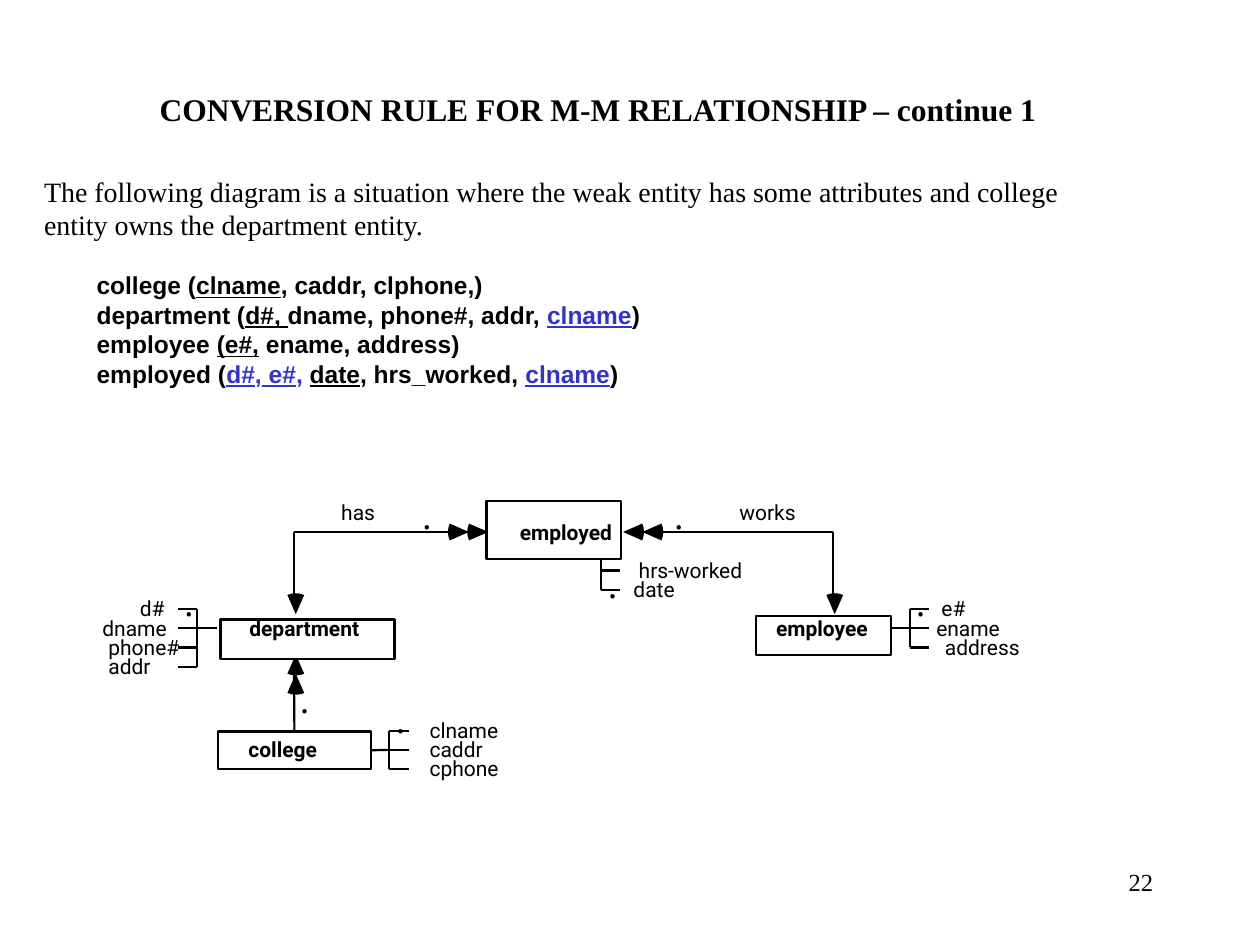
from dataclasses import dataclass

from lxml.etree import SubElement
from pptx import Presentation
from pptx.dml.color import RGBColor
from pptx.enum.shapes import MSO_CONNECTOR, MSO_SHAPE
from pptx.enum.text import MSO_ANCHOR, PP_ALIGN
from pptx.oxml.ns import qn
from pptx.util import Pt


@dataclass(frozen=True)
class Theme:
    ink: RGBColor = RGBColor(0, 0, 0)
    paper: RGBColor = RGBColor(255, 255, 255)
    key: RGBColor = RGBColor(0x33, 0x33, 0xCC)
    serif: str = "Times New Roman"
    sans: str = "Arial"
    diagram: str = "Roboto"
    title: int = 18
    body: int = 16
    relation: int = 14
    label: int = 12
    stroke: float = 1.25


theme = Theme()


def write(p, text, size=theme.label, font=theme.diagram, bold=False, color=theme.ink, underline=False):
    r = p.add_run()
    r.text = text
    r.font.size = Pt(size)
    r.font.name = font
    r.font.bold = bold
    r.font.underline = underline
    r.font.color.rgb = color


def line(x1, y1, x2, y2):
    c = s.shapes.add_connector(MSO_CONNECTOR.STRAIGHT, Pt(x1), Pt(y1), Pt(x2), Pt(y2))
    c.line.color.rgb = theme.ink
    c.line.width = Pt(theme.stroke)
    SubElement(c._element.spPr, qn("a:effectLst"))
    return c


prs = Presentation()
prs.slide_width, prs.slide_height = Pt(720), Pt(540)
s = prs.slides.add_slide(prs.slide_layouts[1])

title, body = s.placeholders
for sp, (x, y, w, h) in ((title, (84, 48, 528, 29)), (body, (18, 96, 618, 147))):
    sp.left, sp.top, sp.width, sp.height = Pt(x), Pt(y), Pt(w), Pt(h)
    sp.text_frame.vertical_anchor = MSO_ANCHOR.TOP
    sp.text_frame.word_wrap = True

p = title.text_frame.paragraphs[0]
p.alignment = PP_ALIGN.LEFT
write(p, "CONVERSION RULE FOR M-M RELATIONSHIP – continue 1", theme.title, theme.serif, bold=True)

tf = body.text_frame
p = tf.paragraphs[0]
write(p, "The following diagram is a situation where the weak entity has some attributes "
         "and college entity owns the department entity.", theme.body, theme.serif)

plain = {}
own = {"underline": True}
foreign = {"underline": True, "color": theme.key}
comma = {"color": theme.key}
relations = [
    [("college (", plain), ("clname", own), (", caddr, clphone,)", plain)],
    [("department (", plain), ("d#, ", own), ("dname, phone#, addr, ", plain),
     ("clname", foreign), (")", plain)],
    [("employee ", plain), ("(e#,", own), (" ename, address)", plain)],
    [("employed (", plain), ("d#", foreign), (",", comma), (" e#", foreign), (", ", comma),
     ("date", own), (", hrs_worked, ", plain), ("clname", foreign), (")", plain)],
]
for i, relation in enumerate(relations):
    p = tf.add_paragraph()
    p.space_before = Pt(0 if i else 16.5)
    for text, style in relation:
        write(p, text, theme.relation, theme.sans, bold=True, **style)
for i, p in enumerate(tf.paragraphs):
    pPr = p._p.get_or_add_pPr()
    pPr.set("marL", str(Pt(30 if i else 0)))
    pPr.set("indent", "0")
    SubElement(pPr, qn("a:buNone"))

left_x, right_x, link_y = 168, 476, 304
for route in (
    (left_x, link_y, 268, link_y),
    (222.5, link_y, 257, link_y),
    (left_x, link_y, left_x, 348),
    (right_x, link_y, 364, link_y),
    (375, link_y, 409.5, link_y),
    (right_x, link_y, right_x, 348),
):
    line(*route)

labels = [("has", 195, 285.7, False), ("works", 422.5, 285.7, False),
          ("college", 142, 421, True), ("department", 142.5, 351.5, True),
          ("employee", 443.5, 351.5, True), ("employed", 297, 296.7, True)]
labels += [("•", x, y, False) for x, y in (
    (227, 410.5), (172, 399), (524, 344), (348, 333.5), (106, 344), (242, 294), (386, 294))]

row, tick = 11, 11
attributes = [
    (222.5, 417.5, 417.5, tick, (("clname", 245.5), ("caddr", 245.5), ("cphone", 245.5))),
    (520, 348, 348, tick, (("e#", 538), ("ename", 535), ("address", 540))),
    (112.5, 348, 348, -tick, (("d#", 80), ("dname", 58.5), ("phone#", 62), ("addr", 62))),
    (343.5, 315.5, 326, tick, (("hrs-worked", 365), ("date", 362))),
]
for spine, top, first, reach, names in attributes:
    line(spine, top, spine, first + row * (len(names) - 1))
    for i, (name, x) in enumerate(names):
        y = first + row * i
        line(spine, y, spine + reach, y)
        labels.append((name, x, y - 7.5, False))

arrows = [(169, 374, 0, -1), (169, 385, 0, -1), (169, 351, 0, 1), (477, 351, 0, 1),
          (279, link_y, 1, 0), (268, link_y, 1, 0), (356, link_y, -1, 0), (367, link_y, -1, 0)]
for x, y, dx, dy in arrows:
    outline = [(Pt(x - dx * back - dy * side), Pt(y - dy * back + dx * side))
               for back, side in ((0, 0), (11, 4.8), (11.8, 2.4), (12, 0), (11.8, -2.4), (11, -4.8))]
    fb = s.shapes.build_freeform(*outline[0])
    fb.add_line_segments(outline[1:], close=True)
    sp = fb.convert_to_shape()
    sp.shadow.inherit = False
    sp.fill.solid()
    sp.fill.fore_color.rgb = theme.ink
    sp.line.fill.background()

entities = {
    "college": (124.5, 418, 87.5, 21.5),
    "department": (126, 354, 99.5, 22.5),
    "employee": (432, 352, 77, 22.5),
    "employed": (278, 286.5, 77, 33),
}
boxes = {}
for name, frame in entities.items():
    sp = s.shapes.add_shape(MSO_SHAPE.RECTANGLE, *map(Pt, frame))
    sp.shadow.inherit = False
    sp.fill.solid()
    sp.fill.fore_color.rgb = theme.paper
    sp.line.color.rgb = theme.ink
    sp.line.width = Pt(theme.stroke)
    boxes[name] = sp

line(left_x, 418, left_x, 383).begin_connect(boxes["college"], 0)
line(212, 428.5, 222.5, 428.5).begin_connect(boxes["college"], 3)
line(112.5, 359, 124, 359)
line(509, 359, 520, 359)

for text, x, y, bold in labels:
    tf = s.shapes.add_textbox(Pt(x), Pt(y), Pt(7 * len(text) + 3), Pt(14.4)).text_frame
    tf.margin_left = tf.margin_top = tf.margin_right = tf.margin_bottom = 0
    tf.word_wrap = True
    write(tf.paragraphs[0], text, bold=bold)

tf = s.shapes.add_textbox(Pt(516), Pt(492), Pt(150), Pt(36)).text_frame
tf.word_wrap = True
p = tf.paragraphs[0]
p.alignment = PP_ALIGN.RIGHT
write(p, "22", theme.relation, theme.serif)

prs.save("out.pptx")
